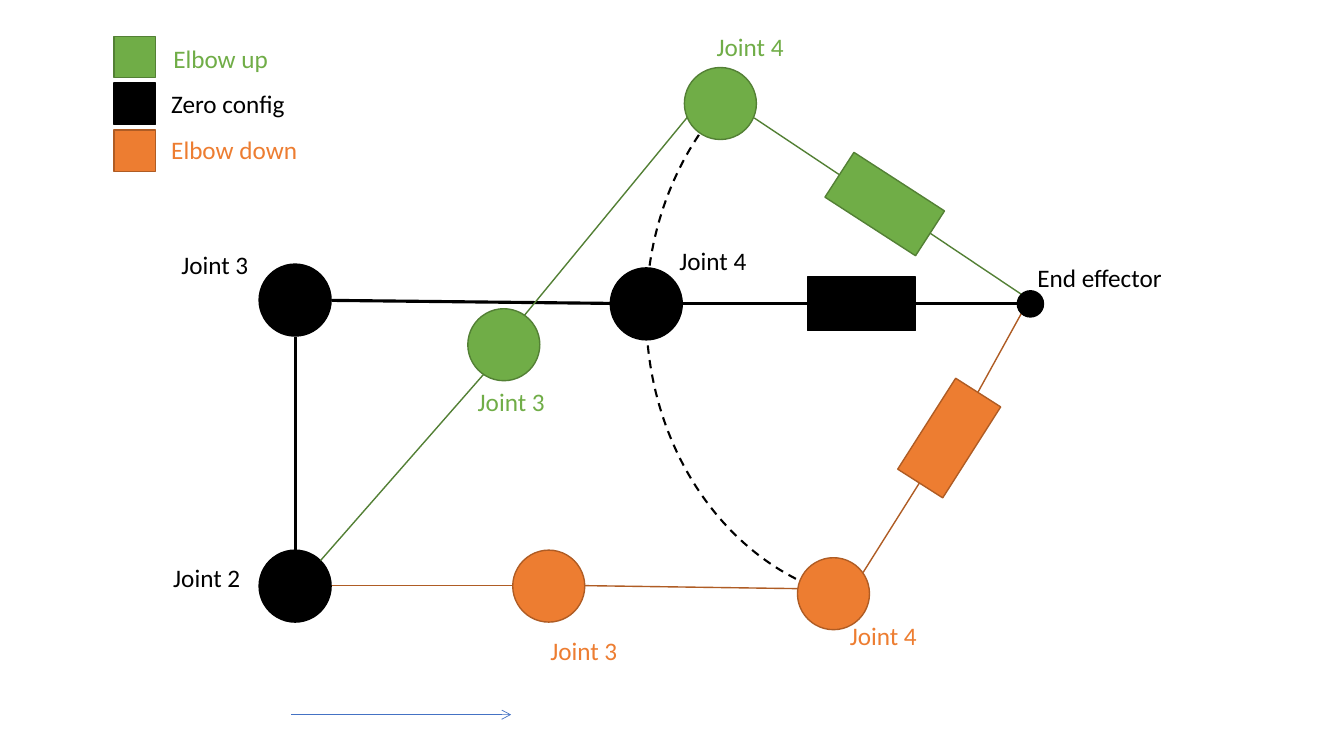
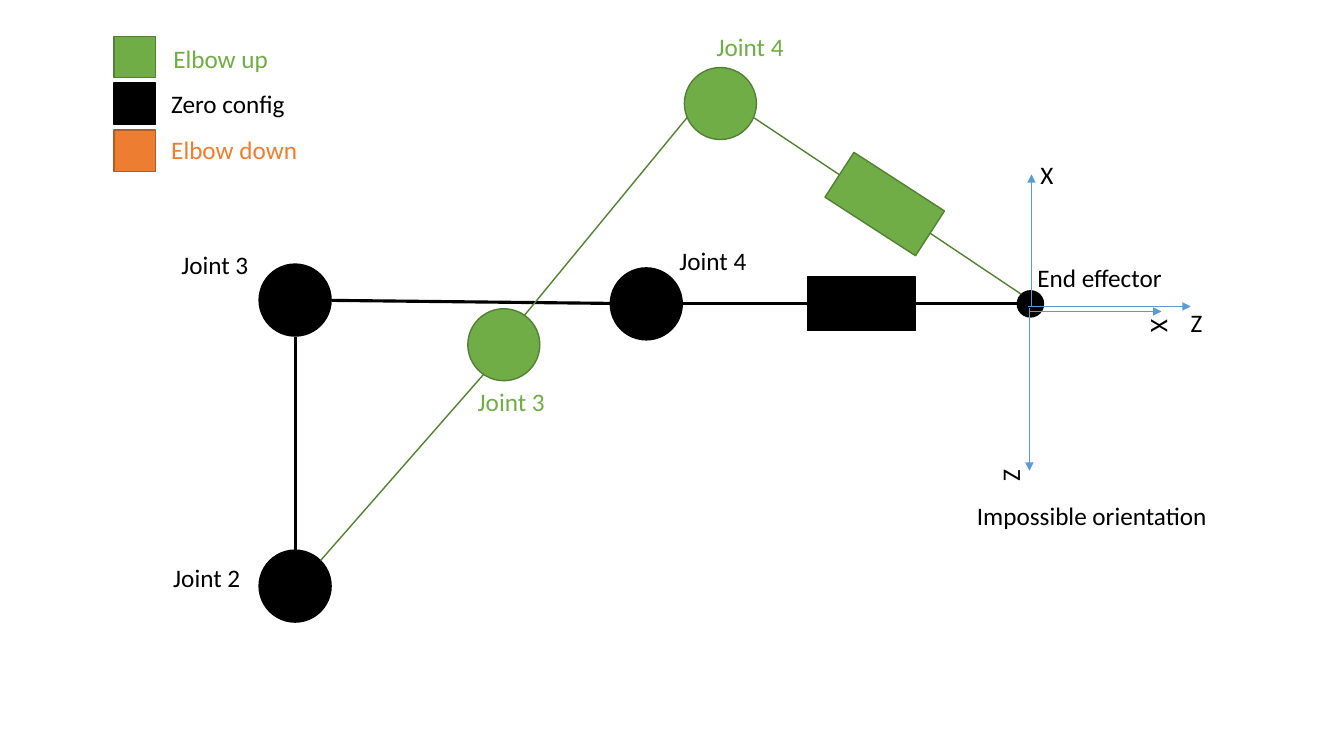
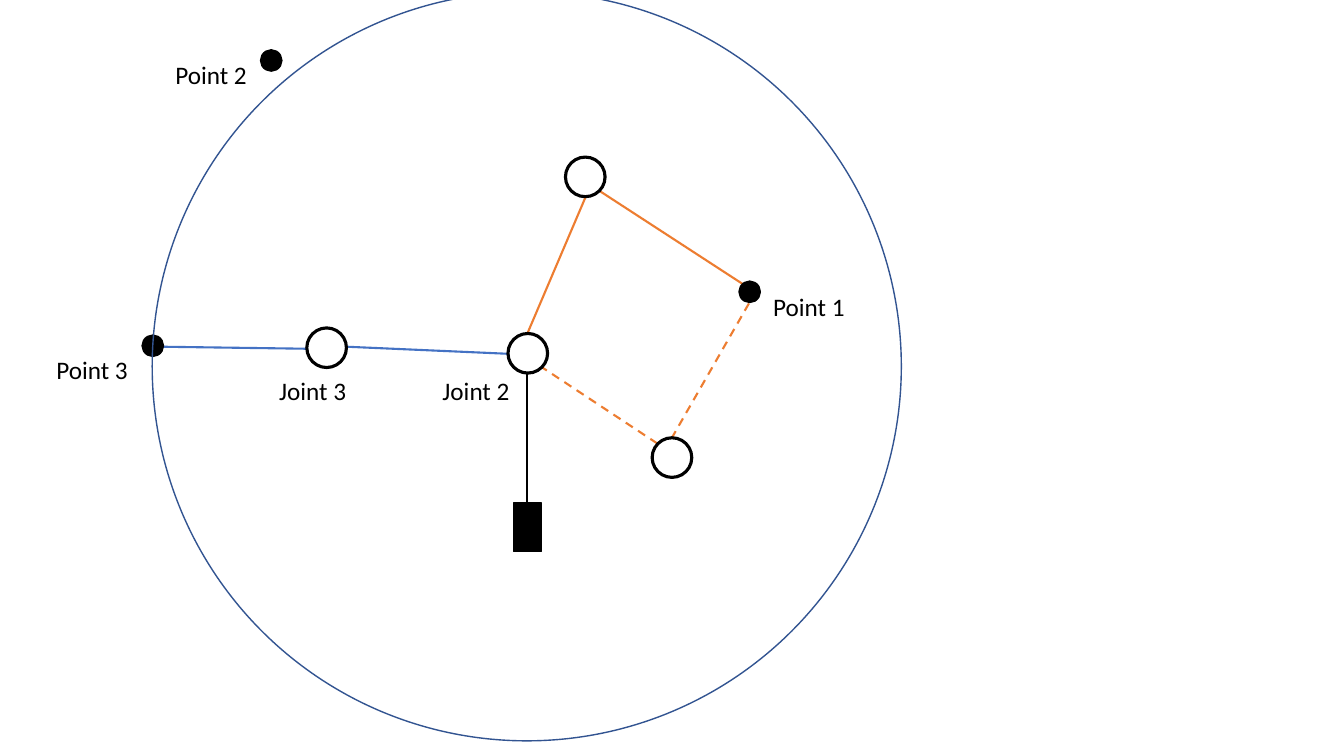
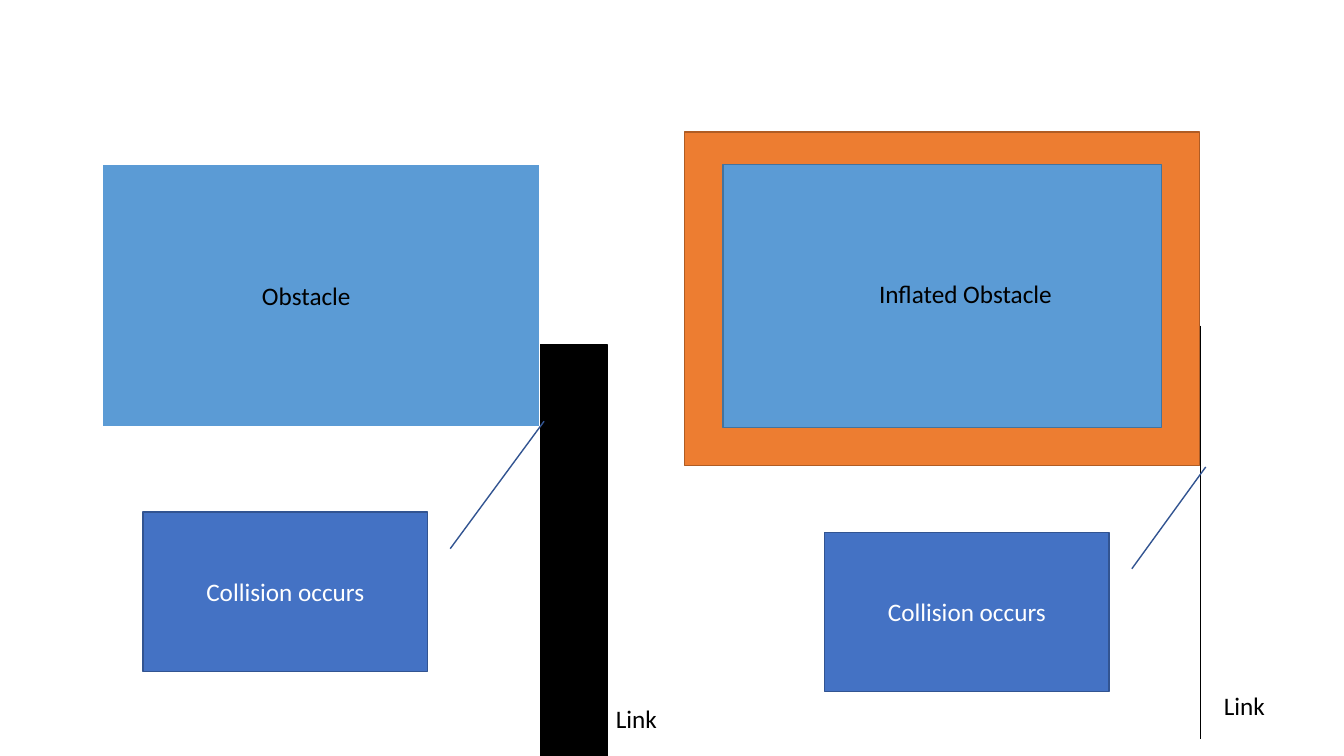
from dataclasses import dataclass
from typing import NamedTuple, Optional

from lxml.etree import SubElement
from pptx import Presentation
from pptx.dml.color import RGBColor as RGB
from pptx.enum.dml import MSO_LINE as Dash
from pptx.enum.shapes import MSO_CONNECTOR as Conn, MSO_SHAPE as Kind
from pptx.enum.text import MSO_ANCHOR as Anchor, MSO_AUTO_SIZE as Auto, PP_ALIGN as Align
from pptx.oxml.ns import qn
from pptx.util import Inches, Pt

ROWS = 75


class Tone(NamedTuple):
    fill: Optional[str]
    line: str
    rod: float = 1


@dataclass(frozen=True)
class Theme:
    font: str = "Calibri"
    size: int = 18
    ink: str = "000000"
    white: str = "FFFFFF"
    blue: str = "4472C4"
    sky: str = "5B9BD5"
    orange: str = "ED7D31"
    zero: Tone = Tone("000000", "000000", 2.25)
    up: Tone = Tone("70AD47", "538035")
    down: Tone = Tone("ED7D31", "AF5C24")
    hollow: Tone = Tone(None, "000000")
    reach: Tone = Tone(None, "325491")
    callout: Tone = Tone("4472C4", "325491")
    obstacle: Tone = Tone("5B9BD5", "FFFFFF")
    inflated: Tone = Tone("5B9BD5", "43739E")


T = Theme()


class Arm(NamedTuple):
    tone: Tone
    rods: list
    joints: list
    link: tuple
    labels: list


ZERO = Arm(
    T.zero,
    [(90.8, 30.1, 100.9, 30.1), (67.7, 30.1, 80.1, 30.1),
     (32.9, 29.8, 60.5, 30.1), (29.3, 33.4, 29.3, 54.6)],
    [(64.1, 30.15), (29.27, 29.77), (29.27, 58.15)],
    (85.45, 30.15, 0),
    [("Joint 2", 16.2, 55.3), ("Joint 3", 17, 24.2), ("Joint 4", 66.4, 23.8)])
UP = Arm(
    T.up,
    [(92.2, 23.1, 101.3, 29.2), (74.8, 11.7, 83.2, 17.3),
     (52, 31.3, 68.2, 11.6), (31.8, 55.6, 48, 37.1)],
    [(71.45, 10.27), (49.97, 34.2)],
    (87.75, 20.25, 32.9),
    [("Joint 3", 46.4, 37.8), ("Joint 4", 70.1, 2.6)])
DOWN = Arm(
    T.down,
    [(97, 38.9, 101.3, 31.1), (85.6, 56.8, 91.2, 47.9),
     (58, 58.1, 79.2, 58.4), (32.9, 58.1, 50.9, 58.1)],
    [(54.43, 58.15), (82.67, 58.9)],
    (94.15, 43.45, 302.5),
    [("Joint 3", 53.6, 62.5), ("Joint 4", 83.3, 61.1)])


def assign(obj, **values):
    for name, value in values.items():
        setattr(obj, name, value)


class Deck:
    def __init__(self, theme):
        self.theme = theme
        self.prs = Presentation()
        assign(self.prs, slide_width=Inches(13.33), slide_height=Inches(7.5))
        self.cell = self.prs.slide_height / ROWS
        self.s = None

    def new(self):
        self.s = self.prs.slides.add_slide(self.prs.slide_layouts[6])

    def grid(self, *cells):
        return [round(c * self.cell) for c in cells]

    def outline(self, sp, color, weight, dash=None):
        sp.line.color.rgb = RGB.from_string(color)
        assign(sp.line, width=Pt(weight), dash_style=dash)

    def add_text(self, tf, text, color, **fmt):
        assign(tf, **fmt)
        p = tf.paragraphs[0]
        r = p.add_run()
        r.text = text
        assign(r.font, name=self.theme.font, size=Pt(self.theme.size))
        r.font.color.rgb = RGB.from_string(color)
        return p

    def shape(self, kind, x, y, w, h, tone, weight=1, dash=None, turn=0, adj=()):
        sp = self.s.shapes.add_shape(kind, *self.grid(x, y, w, h))
        sp.shadow.inherit = False
        sp.rotation = turn
        for i, value in enumerate(adj):
            sp.adjustments[i] = value
        if tone.fill:
            sp.fill.solid()
            sp.fill.fore_color.rgb = RGB.from_string(tone.fill)
        else:
            sp.fill.background()
        self.outline(sp, tone.line, weight, dash)
        return sp

    def rect(self, *box, **fmt):
        return self.shape(Kind.RECTANGLE, *box, **fmt)

    def disc(self, cx, cy, d, tone, weight=1):
        return self.shape(Kind.OVAL, cx - d / 2, cy - d / 2, d, d, tone, weight)

    def line(self, ends, color, weight, dash=None, head=None):
        c = self.s.shapes.add_connector(Conn.STRAIGHT, *self.grid(*ends))
        self.outline(c, color, weight, dash)
        pr = c.element.spPr
        if head:
            SubElement(pr.find(qn("a:ln")), qn("a:tailEnd"), type=head)
        SubElement(pr, qn("a:effectLst"))

    def label(self, text, x, y, w=8.7, color=T.ink, turn=0):
        sp = self.s.shapes.add_textbox(*self.grid(x, y, w, 4))
        sp.rotation = turn
        self.add_text(sp.text_frame, text, color, word_wrap=False,
                      auto_size=Auto.SHAPE_TO_FIT_TEXT)

    def callout(self, text, x, y, tip):
        sp = self.shape(Kind.LINE_CALLOUT_1, x, y, 28.2, 15.8, self.theme.callout,
                        adj=(0.23, 1.08, *tip))
        p = self.add_text(sp.text_frame, text, self.theme.white,
                          vertical_anchor=Anchor.MIDDLE)
        p.alignment = Align.CENTER


def legend(d):
    rows = [("Elbow up", T.up, 16.2, 11.5), ("Zero config", T.zero, 16, 13.4),
            ("Elbow down", T.down, 16, 14.7)]
    for i, (text, tone, x, w) in enumerate(rows):
        d.rect(11.3, 3.6 + 4.65 * i, 4.1, 4.1, tone)
        d.label(text, x, 3.8 + 4.5 * i, w, tone.fill)


def arms(d, *poses):
    for arm in poses:
        for rod in arm.rods:
            d.line(rod, arm.tone.line, arm.tone.rod)
        for cx, cy in arm.joints:
            d.disc(cx, cy, 7.14, arm.tone)
        cx, cy, turn = arm.link
        d.rect(cx - 5.35, cy - 2.65, 10.7, 5.3, arm.tone, turn=turn)
        for text, x, y in arm.labels:
            d.label(text, x, y, color=arm.tone.fill)
    d.disc(102.2, 30.15, 2.6, T.zero)
    d.label("End effector", 101.9, 25.5, 14.5)
    legend(d)


def elbow_slide(d):
    d.new()
    d.shape(Kind.ARC, 64.1, 2.2, 49.9, 57.7, T.hollow, 1.5, Dash.DASH,
            adj=(64.81, 137.94))
    arms(d, ZERO, UP, DOWN)
    d.line((28.9, 70.9, 50.7, 70.9), T.blue, 0.5, head="arrow")


def orientation_slide(d):
    d.new()
    arms(d, ZERO, UP)
    for axis in [(102, 30.4, 118.1, 30.4), (102.3, 30.4, 102.3, 17.3),
                 (102.1, 30.6, 102.1, 46.7), (102.1, 30.9, 115.2, 30.9)]:
        d.line(axis, T.sky, 0.5, head="triangle")
    for text, x, y, turn in [("X", 102.2, 15.3, 0), ("Z", 117.1, 30, 0),
                             ("X", 113.5, 30.4, 90), ("Z", 98.9, 45.2, 90)]:
        d.label(text, x, y, 3.3, turn=turn)
    d.label("Impossible orientation", 95.9, 49.1, 25.1)


def reach_slide(d):
    d.new()
    for ends, color, dash in [
            ((52.3, 49.9, 52.3, 37), T.ink, None),
            ((73.7, 28.2, 59.4, 18.9), T.orange, None),
            ((52.3, 33.1, 58.1, 19.5), T.orange, None),
            ((65.2, 44, 53.7, 36.4), T.orange, Dash.DASH),
            ((66.6, 43.5, 74.4, 29.9), T.orange, Dash.DASH),
            ((16.1, 34.4, 30.5, 34.6), T.blue, None),
            ((50.4, 35.1, 34.4, 34.4), T.blue, None)]:
        d.line(ends, color, 1.5, dash)
    for cx, cy in [(52.35, 35.05), (58.05, 17.55), (66.65, 45.4), (32.4, 34.5)]:
        d.disc(cx, cy, 3.93, T.hollow, 2.25)
    for cx, cy in [(74.35, 28.95), (15.15, 34.3), (26.9, 6)]:
        d.disc(cx, cy, 1.94, T.zero, 2.25)
    d.rect(50.9, 49.9, 2.8, 4.8, T.zero)
    for text, x, y, w in [("Point 1", 75.7, 28.4, 9.2), ("Point 2", 16.4, 5.4, 9.2),
                          ("Point 3", 4.6, 34.7, 9.2), ("Joint 2", 42.9, 36.7, 8.7),
                          ("Joint 3", 26.7, 36.7, 8.7)]:
        d.label(text, x, y, w)
    d.disc(52.25, 36.35, 74.3, T.reach)


def collision_slide(d):
    d.new()
    d.rect(10.1, 16.3, 43.5, 26.1, T.obstacle, weight=1.5)
    d.rect(53.6, 34.2, 6.6, 40.8, T.zero)
    d.rect(67.9, 13.1, 51.1, 33.1, T.down)
    d.line((119.1, 32.3, 119.1, 73.3), T.ink, 0.5)
    d.rect(71.7, 16.3, 43.5, 26.1, T.inflated)
    for x, y, tip in [(14.2, 50.8, (-0.57, 1.41)), (81.8, 52.8, (-0.41, 1.34))]:
        d.callout("Collision occurs", x, y, tip)
    for text, x, y, w in [("Obstacle", 25, 27.3, 10.9), ("Link", 60.1, 69.3, 6.1),
                          ("Inflated Obstacle", 86.2, 27.1, 19.4),
                          ("Link", 120.4, 68, 6.1)]:
        d.label(text, x, y, w)


def main():
    d = Deck(T)
    for build in (elbow_slide, orientation_slide, reach_slide, collision_slide):
        build(d)
    d.prs.save("out.pptx")


if __name__ == "__main__":
    main()
